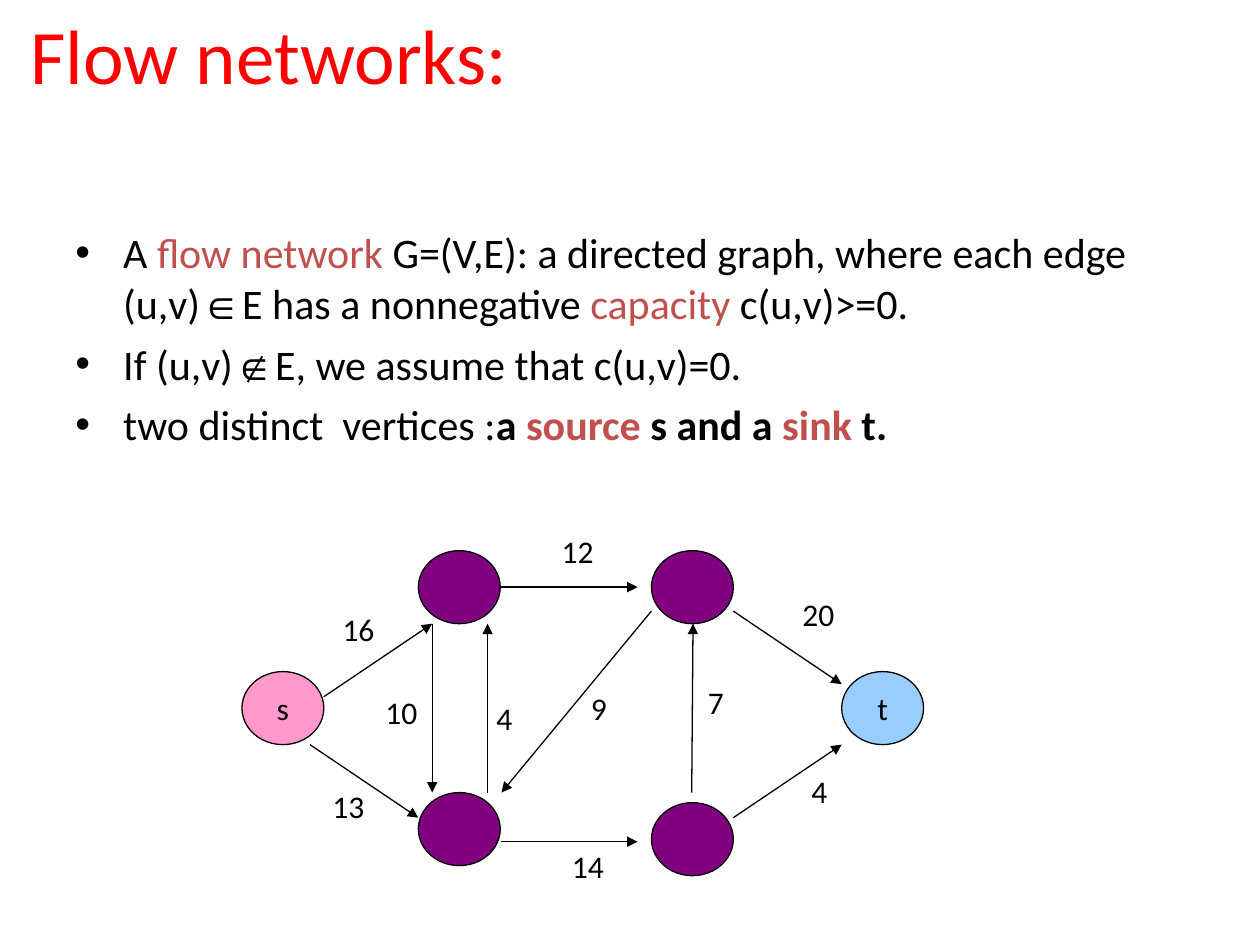
from lxml import etree
from pptx import Presentation, util as u
from pptx.dml.color import RGBColor
from pptx.enum import shapes, text
from pptx.oxml.ns import qn

COLORS = {"title": "FF0000", "ink": "000000", "accent": "C0504D",
          "source": "FF99CC", "inner": "800080", "sink": "99CCFF"}
FONT = "Calibri"
NODE_W, NODE_H = 0.65, 0.58

TITLE = "Flow networks:"
BULLETS = [
    [("A ", ""), ("flow network", "accent"),
     (" G=(V,E): a directed graph, where each edge (u,v)", ""), ("∈", "symbol"),
     ("E has a nonnegative ", ""), ("capacity", "accent"), (" c(u,v)>=0.", "")],
    [("If (u,v)", ""), ("∉", "symbol"), ("E, we assume that c(u,v)=0.", "")],
    [("two distinct  vertices :", ""), ("a ", "bold"), ("source", "bold accent"),
     (" s and a ", "bold"), ("sink", "bold accent"), (" t.", "bold")],
]
NODES = [
    ("s", "source", 1.92, 5.33),
    ("", "inner", 3.32, 6.29),
    ("", "inner", 5.17, 6.37),
    ("t", "sink", 6.68, 5.33),
    ("", "inner", 5.17, 4.37),
    ("", "inner", 3.32, 4.37),
]
EDGES = [
    ("16", (2.57, 5.53), (3.43, 4.95), (2.62, 4.79)),
    ("13", (2.46, 5.91), (3.32, 6.49), (2.54, 6.2)),
    ("10", (3.43, 4.95), (3.43, 6.29), (2.96, 5.45)),
    ("4", (3.87, 6.29), (3.87, 4.95), (3.84, 5.5)),
    ("12", (3.98, 4.66), (5.06, 4.66), (4.36, 4.17)),
    ("14", (3.98, 6.68), (5.06, 6.68), (4.44, 6.67)),
    ("20", (5.82, 4.85), (6.68, 5.43), (6.27, 4.67)),
    ("4", (5.82, 6.49), (6.68, 5.91), (6.34, 6.08)),
    ("7", (5.49, 6.29), (5.5, 4.95), (5.52, 5.37)),
    ("9", (5.17, 4.85), (3.98, 6.29), (4.59, 5.42)),
]


def rgb(name):
    return RGBColor.from_string(COLORS[name])


def style(r, size, color="ink", font=FONT):
    r.font.size = u.Pt(size)
    r.font.name = font
    r.font.color.rgb = rgb(color)


def add_text(s, x, y, w, h, wrap=True):
    tf = s.shapes.add_textbox(*map(u.Inches, (x, y, w, h))).text_frame
    tf.word_wrap = wrap
    return tf


def add_title(s):
    tf = add_text(s, 0, -0.2, 9, 1.25)
    tf.margin_left = u.Inches(0.24)
    tf.vertical_anchor = text.MSO_ANCHOR.MIDDLE
    tf.text = TITLE
    style(tf.paragraphs[0].runs[0], 44, "title")


def add_bullets(s):
    tf = add_text(s, 0.5, 1.75, 9, 4.95)
    for i, parts in enumerate(BULLETS):
        p = tf.add_paragraph() if i else tf.paragraphs[0]
        if i:
            p.space_before = u.Pt(6)
        pPr = p._p.get_or_add_pPr()
        pPr.set("marL", str(u.Inches(0.38)))
        pPr.set("indent", str(-u.Inches(0.38)))
        etree.SubElement(pPr, qn("a:buFont"), typeface="Arial")
        etree.SubElement(pPr, qn("a:buChar"), char="•")
        for words, look in parts:
            r = p.add_run()
            r.text = words
            style(r, 24, "accent" if "accent" in look else "ink",
                  "Arial" if look == "symbol" else FONT)
            r.font.bold = "bold" in look


def add_node(s, name, color, x, y):
    sp = s.shapes.add_shape(shapes.MSO_SHAPE.OVAL, *map(u.Inches, (x, y, NODE_W, NODE_H)))
    sp.shadow.inherit = False
    sp.fill.solid()
    sp.fill.fore_color.rgb = rgb(color)
    sp.line.color.rgb = rgb("ink")
    sp.line.width = u.Pt(0.75)
    if name:
        tf = sp.text_frame
        tf.word_wrap = False
        tf.text = name
        tf.paragraphs[0].alignment = text.PP_ALIGN.CENTER
        style(tf.paragraphs[0].runs[0], 18)


def add_edge(s, start, end):
    line = s.shapes.add_connector(shapes.MSO_CONNECTOR.STRAIGHT, *map(u.Inches, start + end))
    line.line.color.rgb = rgb("ink")
    line.line.width = u.Pt(0.75)
    etree.SubElement(line.line._get_or_add_ln(), qn("a:tailEnd"), type="triangle")
    etree.SubElement(line._element.spPr, qn("a:effectLst"))


def add_capacity(s, capacity, x, y):
    tf = add_text(s, x, y, 0.45 if len(capacity) > 1 else 0.32, 0.4, wrap=False)
    tf.text = capacity
    style(tf.paragraphs[0].runs[0], 18)


def main():
    prs = Presentation()
    prs.slide_width, prs.slide_height = u.Inches(10), u.Inches(7.5)
    s = prs.slides.add_slide(prs.slide_layouts[6])
    add_title(s)
    add_bullets(s)
    for node in NODES:
        add_node(s, *node)
    for _, start, end, _ in EDGES:
        add_edge(s, start, end)
    for capacity, _, _, place in EDGES:
        add_capacity(s, capacity, *place)
    prs.save("out.pptx")


if __name__ == "__main__":
    main()
